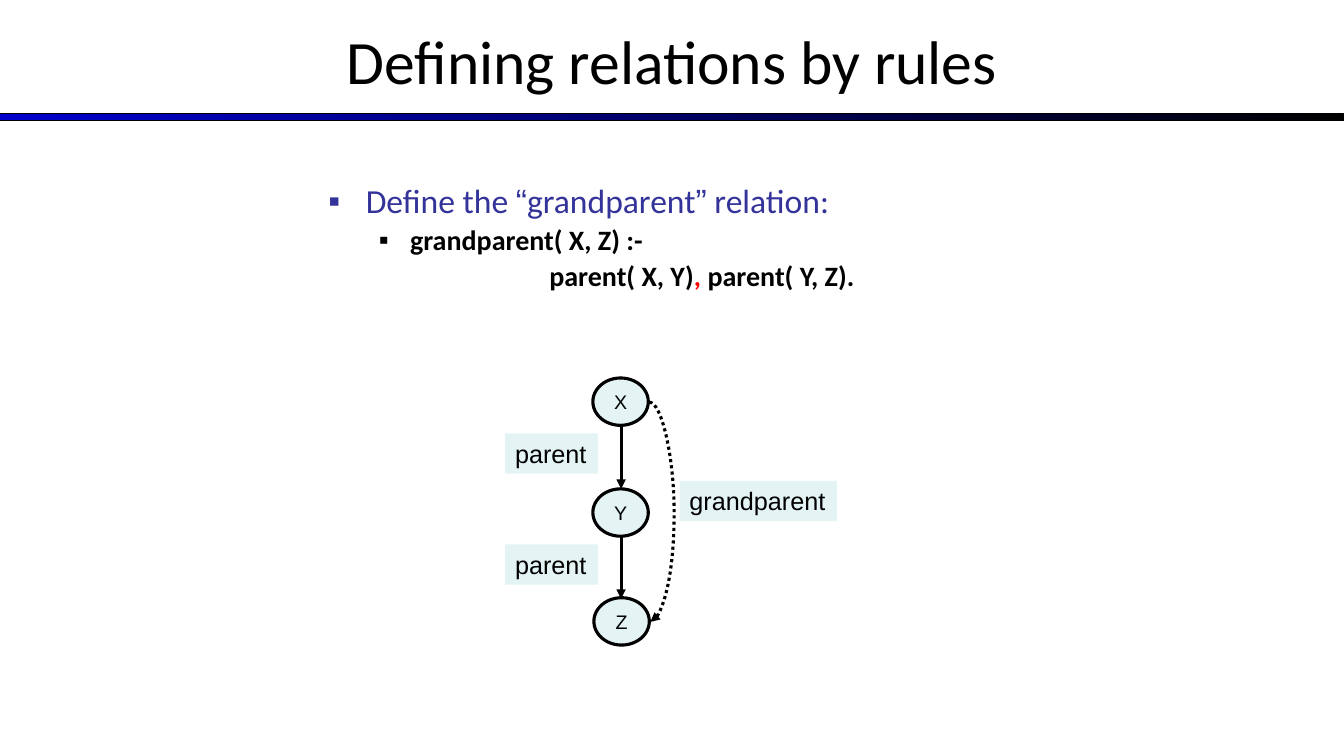
from lxml import etree
from pptx import Presentation
from pptx.dml.color import RGBColor
from pptx.enum import dml, shapes, text
from pptx.oxml import ns
from pptx.util import Inches, Pt

BLACK, NAVY, RED, PALE = "000000", "333399", "FF0000", "E4F3F4"
NODE_W, NODE_H, LABEL_H = 0.55, 0.47, 0.4


def rgb(value):
    """Turn a hex string into a colour."""
    return RGBColor.from_string(value)


def sub(parent, tag, **attributes):
    """Append a DrawingML element to parent."""
    return etree.SubElement(parent, ns.qn(tag), attributes)


def add_run(paragraph, words, size, font="Calibri", color=BLACK, bold=False):
    """Add one formatted run."""
    run = paragraph.add_run()
    run.text = words
    run.font.size, run.font.name, run.font.bold = Pt(size), font, bold
    run.font.color.rgb = rgb(color)


def add_title(slide, words):
    """Place and fill the title placeholder."""
    title = slide.shapes.title
    title.left, title.top = Inches(0), Inches(-0.03)
    title.width, title.height = Inches(13.33), Inches(1.25)
    title.text_frame.vertical_anchor = text.MSO_ANCHOR.MIDDLE
    heading = title.text_frame.paragraphs[0]
    heading.alignment = text.PP_ALIGN.CENTER
    add_run(heading, words, 44)


def add_title_rule(slide):
    """Draw the gradient bar below the title."""
    bar = slide.shapes.add_shape(shapes.MSO_SHAPE.RECTANGLE, Inches(0), Inches(1.13),
                                 Inches(13.33), Inches(0.07))
    bar.shadow.inherit = False
    bar.fill.gradient()
    bar.fill.gradient_angle = 0
    for stop, color in zip(bar.fill.gradient_stops, ("0000CC", BLACK)):
        stop.color.rgb = rgb(color)
    bar.line.color.rgb = rgb(BLACK)
    bar.line.width = Pt(0.75)


def format_line(paragraph, size, margin, hang=0, bullet_color=None, level=0):
    """Set spacing and indent, and a square bullet if it has a colour."""
    paragraph.level = level
    paragraph.line_spacing = 0.9
    paragraph.space_before = Pt(size * 0.2)
    properties = paragraph._p.get_or_add_pPr()
    properties.set("marL", str(Inches(margin)))
    properties.set("indent", str(Inches(-hang)))
    if bullet_color:
        sub(sub(properties, "a:buClr"), "a:srgbClr", val=bullet_color)
        sub(properties, "a:buFont", typeface="Arial")
        sub(properties, "a:buChar", char="▪")
    else:
        sub(properties, "a:buNone")


def add_definition(slide):
    """Write the rule that defines the relation."""
    frame = slide.shapes.add_textbox(Inches(3.16), Inches(1.78), Inches(8),
                                     Inches(5.51)).text_frame
    frame.word_wrap = True
    intro, head, body = frame.paragraphs[0], frame.add_paragraph(), frame.add_paragraph()
    format_line(intro, 24, 0.37, 0.37, NAVY)
    for words, font in (("Define the ", "Calibri"), ("“", "Arial"),
                        ("grandparent", "Calibri"), ("”", "Arial"),
                        (" relation:", "Calibri")):
        add_run(intro, words, 24, font, NAVY)
    format_line(head, 20, 0.81, 0.31, BLACK, 1)
    add_run(head, "grandparent( X, Z) :-", 20, bold=True)
    format_line(body, 20, 2.19, level=1)
    for words, color in (("parent( X, Y)", BLACK), (",", RED), (" parent( Y, Z).", BLACK)):
        add_run(body, words, 20, color=color, bold=True)


def add_pale_shape(diagram, kind, left, top, width, height, words, size):
    """Add a pale shape with unwrapped Arial text."""
    shape = diagram.shapes.add_shape(kind, Inches(left), Inches(top),
                                     Inches(width), Inches(height))
    shape.shadow.inherit = False
    shape.fill.solid()
    shape.fill.fore_color.rgb = rgb(PALE)
    shape.line.fill.background()
    shape.text_frame.word_wrap = False
    add_run(shape.text_frame.paragraphs[0], words, size, "Arial")
    return shape


def add_node(diagram, left, top, variable):
    """Add an outlined circle for a variable."""
    node = add_pale_shape(diagram, shapes.MSO_SHAPE.OVAL, left, top, NODE_W, NODE_H,
                          variable, 14)
    node.line.color.rgb = rgb(BLACK)
    node.line.width = Pt(2.25)
    node.text_frame.vertical_anchor = text.MSO_ANCHOR.MIDDLE
    node.text_frame.paragraphs[0].alignment = text.PP_ALIGN.CENTER


def add_label(diagram, left, top, width, relation):
    """Add a label that names a relation."""
    label = add_pale_shape(diagram, shapes.MSO_SHAPE.RECTANGLE, left, top, width, LABEL_H,
                           relation, 18)
    label.text_frame.vertical_anchor = text.MSO_ANCHOR.TOP
    label.text_frame.paragraphs[0].alignment = text.PP_ALIGN.LEFT


def add_arrow(diagram, kind, start, end):
    """Add a black arrow from start to end."""
    arrow = diagram.shapes.add_connector(kind, *map(Inches, start + end))
    arrow.line.color.rgb = rgb(BLACK)
    arrow.line.width = Pt(2.25)
    sub(arrow.line._get_or_add_ln(), "a:tailEnd", type="triangle")
    sub(arrow._element.spPr, "a:effectLst")
    return arrow


def add_family_diagram(slide):
    """Draw the nodes X, Y and Z and the relations between them."""
    diagram = slide.shapes.add_group_shape()
    for parent_bottom, child_top in ((4.22, 4.85), (5.31, 5.94)):
        add_arrow(diagram, shapes.MSO_CONNECTOR.STRAIGHT,
                  (6.16, parent_bottom), (6.16, child_top))
    for variable, left, top in (("X", 5.88, 3.75), ("Y", 5.88, 4.85), ("Z", 5.89, 5.93)):
        add_node(diagram, left, top, variable)
    for top in (4.3, 5.4):
        add_label(diagram, 5.01, top, 0.92, "parent")
    bow = add_arrow(diagram, shapes.MSO_CONNECTOR.CURVE, (6.44, 3.99), (6.45, 6.17))
    bow.line.dash_style = dml.MSO_LINE.ROUND_DOT
    guides = bow._element.spPr.find(ns.qn("a:prstGeom")).find(ns.qn("a:avLst"))
    sub(guides, "a:gd", name="adj1", fmla="val 2500000")
    add_label(diagram, 6.74, 4.77, 1.56, "grandparent")


def main():
    """Build and save the slide."""
    deck = Presentation()
    deck.slide_width, deck.slide_height = Inches(13.33), Inches(7.5)
    slide = deck.slides.add_slide(deck.slide_layouts[5])
    add_title_rule(slide)
    add_title(slide, "Defining relations by rules")
    add_definition(slide)
    add_family_diagram(slide)
    deck.save("out.pptx")


if __name__ == "__main__":
    main()
